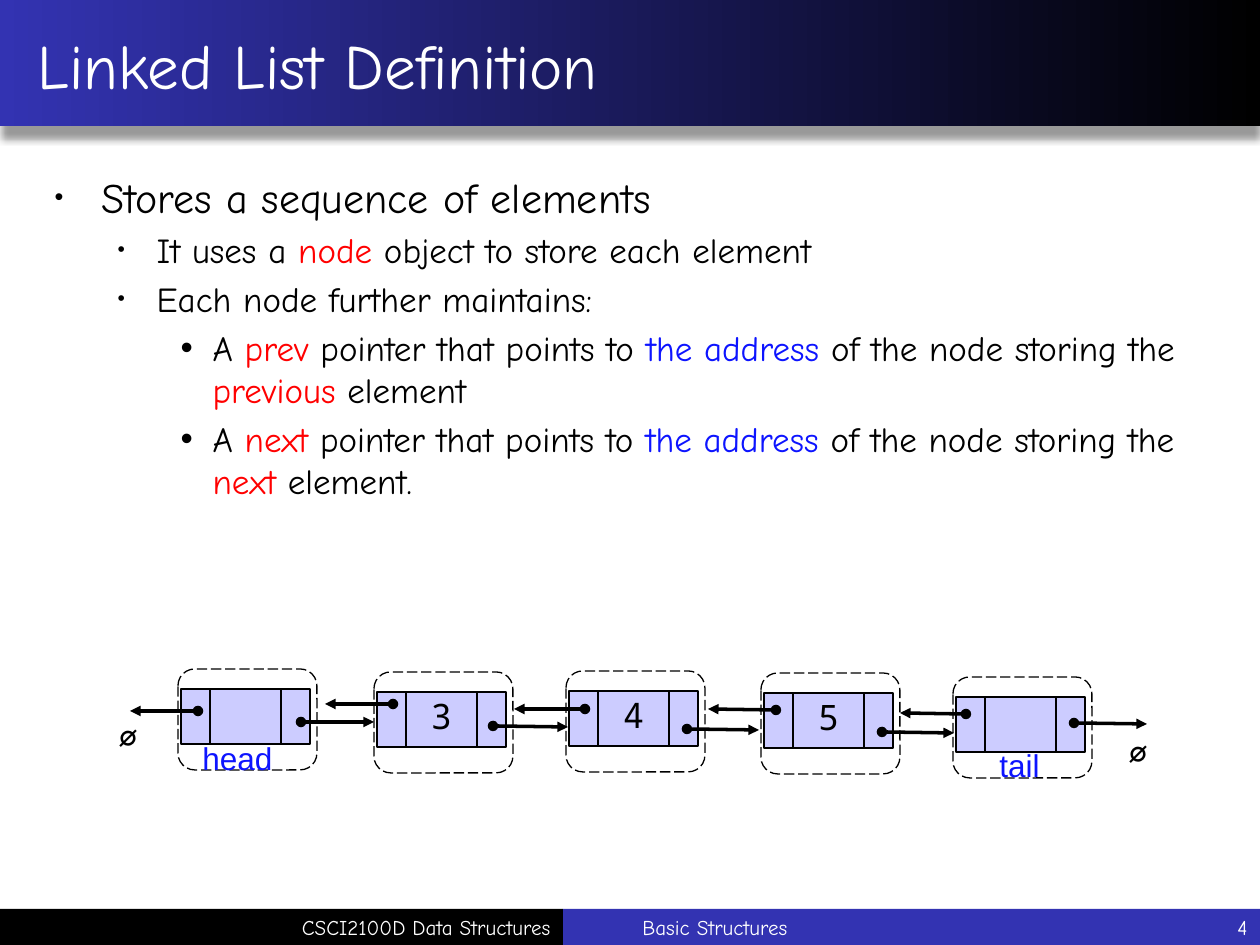
import lxml.etree
import pptx
import pptx.dml.color
import pptx.enum.dml
import pptx.enum.shapes
import pptx.enum.text
import pptx.util
from pptx.oxml.ns import qn

PX = 7257  # EMU per pixel, 126 px to the inch
ALIGN = pptx.enum.text.PP_ALIGN
MIDDLE = pptx.enum.text.MSO_ANCHOR.MIDDLE
SHAPE = pptx.enum.shapes.MSO_SHAPE
rgb = pptx.dml.color.RGBColor.from_string


class Theme:
    black, white = rgb("000000"), rgb("FFFFFF")
    bar, cell = rgb("3333B2"), rgb("CCCCFF")
    red, blue = rgb("FF0000"), rgb("0D14FF")
    main, label, digit, symbol = "Comic Neue", "Arial", "Noto Sans Mono", "Karla"
    title_size, list_sizes, footer_size = 36, (24, 20, 20), 12
    label_size, node_size = 18, 20
    thin, thick = pptx.util.Pt(0.75), pptx.util.Pt(2)


def add_block(kind, left, top, width, height, fill=None, line=None):
    block = page.shapes.add_shape(kind, left * PX, top * PX, width * PX, height * PX)
    block.shadow.inherit = False
    if fill is None:
        block.fill.background()
    else:
        block.fill.solid()
        block.fill.fore_color.rgb = fill
    if line is None:
        block.line.fill.background()
    else:
        block.line.color.rgb = line
        block.line.width = Theme.thin
    return block


def write(box, text, font, size, color, align=ALIGN.LEFT):
    box.text_frame.word_wrap = True
    para = box.text_frame.paragraphs[0]
    para.text = text
    para.alignment = align
    para.font.name = font
    para.font.size = pptx.util.Pt(size)
    para.font.color.rgb = color
    return para


deck = pptx.Presentation()
deck.slide_width, deck.slide_height = 1260 * PX, 945 * PX
page = deck.slides.add_slide(deck.slide_layouts[1])
title, body = page.placeholders

# Title bar with gradient and soft shadow
title_bar = add_block(SHAPE.RECTANGLE, 0, -1, 1260, 127, Theme.black)
title_bar.fill.gradient()
title_bar.fill.gradient_angle = 180
for stop, color in zip(title_bar.fill.gradient_stops, (Theme.black, Theme.bar)):
    stop.color.rgb = color
effects = title_bar.element.spPr.find(qn("a:effectLst"))
shadow = lxml.etree.SubElement(effects, qn("a:outerShdw"), blurRad="50800", dist="88900",
                               dir="5400000", algn="t", rotWithShape="0")
shadow_color = lxml.etree.SubElement(shadow, qn("a:srgbClr"), val="000000")
lxml.etree.SubElement(shadow_color, qn("a:alpha"), val="40000")

# Footer bars and their text
add_block(SHAPE.RECTANGLE, 563, 909, 697, 36, Theme.bar)
add_block(SHAPE.RECTANGLE, 0, 909, 563, 36, Theme.black)
for text, left, width, align in (
    ("CSCI2100D Data Structures", 1, 562, ALIGN.RIGHT),
    ("Basic Structures", 630, 556, ALIGN.LEFT),
    ("4", 1102, 158, ALIGN.RIGHT),
):
    box = page.shapes.add_textbox(left * PX, 909 * PX, width * PX, 36 * PX)
    box.text_frame.vertical_anchor = MIDDLE
    write(box, text, Theme.main, Theme.footer_size, Theme.white, align)

# Title, brought in front of its bar
title.left, title.top, title.width, title.height = 0, 3 * PX, 1260 * PX, 123 * PX
title.text_frame.vertical_anchor = MIDDLE
title.text_frame.margin_left = 38 * PX
title.text_frame.auto_size = pptx.enum.text.MSO_AUTO_SIZE.NONE
write(title, "Linked List Definition", Theme.main, Theme.title_size, Theme.white)
title_bar.element.getparent().append(title.element)

# Linked list nodes: left, top, value
NODES = ((178, 669, ""), (374, 672, "3"), (566, 671, "4"), (761, 673, "5"), (953, 677, ""))
for left, top, value in NODES:
    for offset, width, text in ((3, 29, ""), (32, 71, value), (103, 29, "")):
        cell = add_block(SHAPE.RECTANGLE, left + offset, top + 20, width, 55,
                         Theme.cell, Theme.black)
        if text:
            cell.text_frame.vertical_anchor = MIDDLE
            para = write(cell, text, Theme.digit, Theme.node_size, Theme.black, ALIGN.CENTER)
            para.line_spacing = 0.8
            para.space_before = pptx.util.Pt(0.2 * Theme.node_size)
    outline = add_block(SHAPE.ROUNDED_RECTANGLE, left, top, 139, 101, line=Theme.black)
    outline.line.dash_style = pptx.enum.dml.MSO_LINE.LONG_DASH

# End node labels and null symbols
for text, left, top in (("head", 190, 733), ("tail", 987, 740)):
    box = page.shapes.add_textbox(left * PX, top * PX, 132 * PX, 50 * PX)
    write(box, text, Theme.label, Theme.label_size, Theme.blue)
for left, top in ((101, 707), (1111, 723)):
    box = page.shapes.add_textbox(left * PX, top * PX, 54 * PX, 54 * PX)
    para = write(box, "∅", Theme.symbol, Theme.node_size, Theme.black, ALIGN.CENTER)
    para.font.bold = True

# Pointers: prev to the left, next to the right
POINTERS = (
    (198, 711, 130, 711), (393, 704, 325, 704), (585, 709, 514, 709),
    (776, 710, 708, 709), (966, 714, 900, 713),
    (301, 722, 374, 722), (493, 726, 568, 727), (687, 729, 759, 730),
    (882, 732, 954, 733), (1074, 723, 1147, 724),
)
for ends in POINTERS:
    arrow = page.shapes.add_connector(pptx.enum.shapes.MSO_CONNECTOR.STRAIGHT,
                                      *(end * PX for end in ends))
    arrow.line.color.rgb = Theme.black
    arrow.line.width = Theme.thick
    properties = arrow.element.spPr
    line = properties.find(qn("a:ln"))
    lxml.etree.SubElement(line, qn("a:headEnd"), type="oval")
    lxml.etree.SubElement(line, qn("a:tailEnd"), type="triangle")
    lxml.etree.SubElement(properties, qn("a:effectLst"))

# Definition list: level, then text runs with their colour
POINTS = [
    (0, [("Stores a sequence of elements", None)]),
    (1, [("It uses a ", None), ("node", Theme.red), (" object to store each element", None)]),
    (1, [("Each node further maintains:", None)]),
]
for pointer, target, ending in (("prev", "previous", " element"), ("next", "next", " element.")):
    POINTS.append((2, [
        ("A ", None), (pointer, Theme.red), (" pointer that points to ", None),
        ("the address ", Theme.blue), ("of the node storing the ", None),
        (target, Theme.red), (ending, None),
    ]))
INDENTS = ((47, 47), (102, 39), (158, 32))  # text edge and hanging, px

body.left, body.top, body.width, body.height = 42 * PX, 165 * PX, 1155 * PX, 679 * PX
frame = body.text_frame
frame.auto_size = pptx.enum.text.MSO_AUTO_SIZE.NONE
for index, (level, spans) in enumerate(POINTS):
    para = frame.add_paragraph() if index else frame.paragraphs[0]
    size = Theme.list_sizes[level]
    para.level = level
    para.space_before = pptx.util.Pt(0.2 * size)
    edge, hanging = INDENTS[level]
    settings = para._p.get_or_add_pPr()
    settings.set("marL", str(edge * PX))
    settings.set("indent", str(-hanging * PX))
    lxml.etree.SubElement(settings, qn("a:buSzPct"), val="100000" if level == 2 else "60000")
    lxml.etree.SubElement(settings, qn("a:buChar"), char="•")
    para.font.name = Theme.main
    para.font.size = pptx.util.Pt(size)
    para.font.color.rgb = Theme.black
    for text, color in spans:
        span = para.add_run()
        span.text = text
        if color is not None:
            span.font.color.rgb = color

deck.save("out.pptx")
